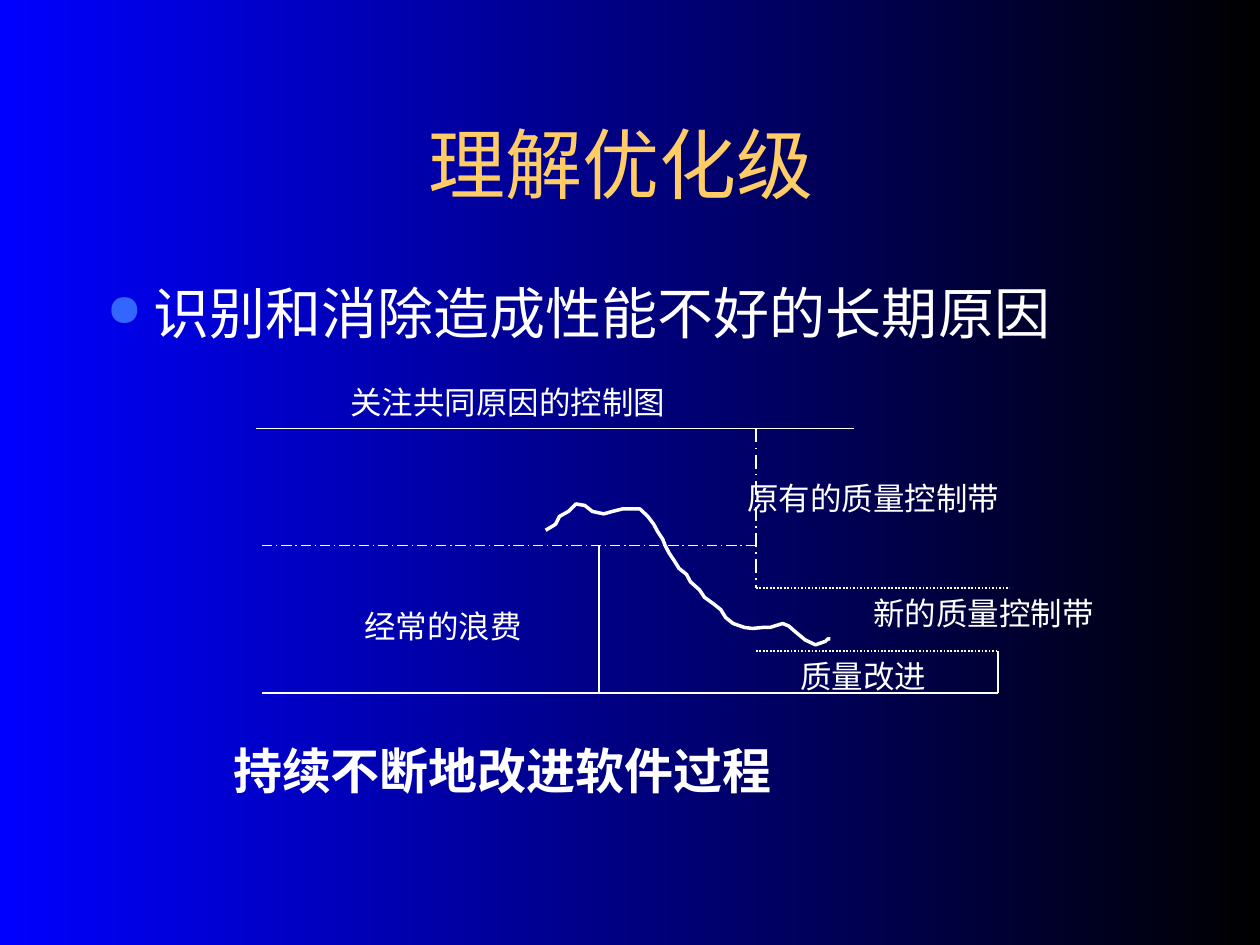
from dataclasses import dataclass

from lxml.etree import SubElement
from pptx import Presentation
from pptx.dml.color import RGBColor as RGB
from pptx.enum.dml import MSO_LINE as DASH
from pptx.enum.shapes import MSO_CONNECTOR as CONN
from pptx.enum.text import MSO_ANCHOR as ANCHOR, PP_ALIGN as ALIGN
from pptx.oxml.ns import qn
from pptx.util import Cm, Pt


@dataclass(frozen=True)
class Theme:
    white: RGB = RGB(0xFF, 0xFF, 0xFF)
    gold: RGB = RGB(0xFF, 0xCC, 0x66)
    bullet: str = "3366FF"
    night: RGB = RGB(0, 0, 0)
    blue: RGB = RGB(0, 0, 0xFF)
    sans: str = "Arial"
    serif: str = "Times New Roman"
    title: int = 44
    body: int = 32
    closing: int = 28
    label: int = 18
    thin: float = 0.75
    rule: float = 1
    curve: float = 2


T = Theme()


def set_all(obj, values):
    for name, value in values.items():
        setattr(obj, name, value)


def add_text(slide, box, text, size, font=T.serif, color=T.white, bold=False,
             wrap=True, anchor=ANCHOR.TOP, align=ALIGN.LEFT):
    sp = slide.shapes.add_textbox(*map(Cm, box))
    tf = sp.text_frame
    set_all(tf, {"word_wrap": wrap, "vertical_anchor": anchor})
    p = tf.paragraphs[0]
    p.alignment = align
    r = p.add_run()
    r.text = text
    set_all(r.font, {"size": Pt(size), "name": font, "bold": bold})
    r.font.color.rgb = color
    return p


def add_line(slide, start, end, width=T.rule, dash=None):
    ln = slide.shapes.add_connector(CONN.STRAIGHT, *map(Cm, start + end))
    ln.line.color.rgb = T.white
    set_all(ln.line, {"width": Pt(width), "dash_style": dash})
    SubElement(ln._element.spPr, qn("a:effectLst"))


def add_background(slide):
    fill = slide.background.fill
    fill.gradient()
    fill.gradient_angle = 180
    for stop, (pos, color) in zip(fill.gradient_stops, ((0, T.night), (1, T.blue))):
        stop.position = pos
        stop.color.rgb = color


def add_title(slide, box):
    add_text(slide, box, "理解优化级 ", T.title, T.sans, T.gold,
             anchor=ANCHOR.MIDDLE, align=ALIGN.CENTER)


def add_body(slide, box):
    p = add_text(slide, box, "识别和消除造成性能不好的长期原因", T.body)
    p.space_before = Pt(8)
    pPr = p._p.get_or_add_pPr()
    indent = Cm(0.95)
    pPr.set("marL", str(indent))
    pPr.set("indent", str(-indent))
    color = SubElement(pPr, qn("a:buClr"))
    SubElement(color, qn("a:srgbClr")).set("val", T.bullet)
    SubElement(pPr, qn("a:buSzPct")).set("val", "80000")
    SubElement(pPr, qn("a:buChar")).set("char", "●")


def add_curve(slide, left, top):
    points = [
        (0, 53), (20, 41), (28, 25), (46, 15), (61, 0), (79, 3), (94, 15),
        (117, 20), (135, 15), (155, 10), (168, 10), (190, 10), (206, 25),
        (218, 41), (226, 56), (236, 71), (241, 84), (249, 99), (259, 114),
        (269, 130), (284, 142), (292, 157), (310, 173), (320, 188),
        (338, 201), (353, 213), (363, 229), (378, 241), (401, 249),
        (417, 251), (437, 249), (452, 249), (478, 241), (490, 246),
        (505, 259), (523, 274), (544, 284), (564, 277), (569, 272), (574, 272),
    ]
    builder = slide.shapes.build_freeform(*points[0], scale=Cm(0.01))
    builder.add_line_segments(points[1:], close=False)
    sp = builder.convert_to_shape(Cm(left), Cm(top))
    sp.shadow.inherit = False
    sp.fill.background()
    sp.line.color.rgb = T.white
    sp.line.width = Pt(T.curve)


def add_control_chart(slide, box):
    left, top, width, height = box
    start, waste, change, end = 0.12, 6.91, 10.08, 14.96
    upper, middle, new_upper, new_lower = 1.04, 3.4, 4.26, 5.53

    lines = [
        (0, upper, 12.06, upper, T.rule, None),
        (start, height, end, height, T.rule, None),
        (waste, middle, waste, height, T.rule, None),
        (end, new_lower, end, height, T.rule, None),
        (change, upper, change, new_upper, T.rule, DASH.LONG_DASH_DOT),
        (start, middle, change, middle, T.thin, DASH.LONG_DASH_DOT),
        (change, new_upper, width, new_upper, T.rule, DASH.ROUND_DOT),
        (change, new_lower, end, new_lower, T.rule, DASH.ROUND_DOT),
    ]
    for x1, y1, x2, y2, weight, dash in lines:
        add_line(slide, (left + x1, top + y1), (left + x2, top + y2), weight, dash)

    labels = [
        ("关注共同原因的控制图", 1.65, 0, 6.86),
        ("原有的质量控制带", 9.65, 1.93, 7.42),
        ("经常的浪费", 1.93, 4.52, 3.68),
        ("质量改进", 10.72, new_lower, 3.05),
        ("新的质量控制带", 12.19, new_upper, 4.98),
    ]
    for text, x, y, w in labels:
        add_text(slide, (left + x, top + y, w, 1.02), text, T.label, wrap=False)

    add_curve(slide, left + 5.84, top + 2.56)


def add_closing(slide, box):
    add_text(slide, box, "持续不断地改进软件过程", T.closing, T.sans,
             bold=True, wrap=False)


prs = Presentation()
set_all(prs, {"slide_width": Cm(25.4), "slide_height": Cm(19.05)})
slide = prs.slides.add_slide(prs.slide_layouts[6])
add_background(slide)
add_title(slide, (1.9, 1.7, 21.6, 3.18))
add_body(slide, (1.9, 5.5, 21.6, 11.43))
add_control_chart(slide, (5.16, 7.6, 15.19, 6.37))
add_closing(slide, (4.45, 14.81, 11.4, 1.42))
prs.save("out.pptx")
